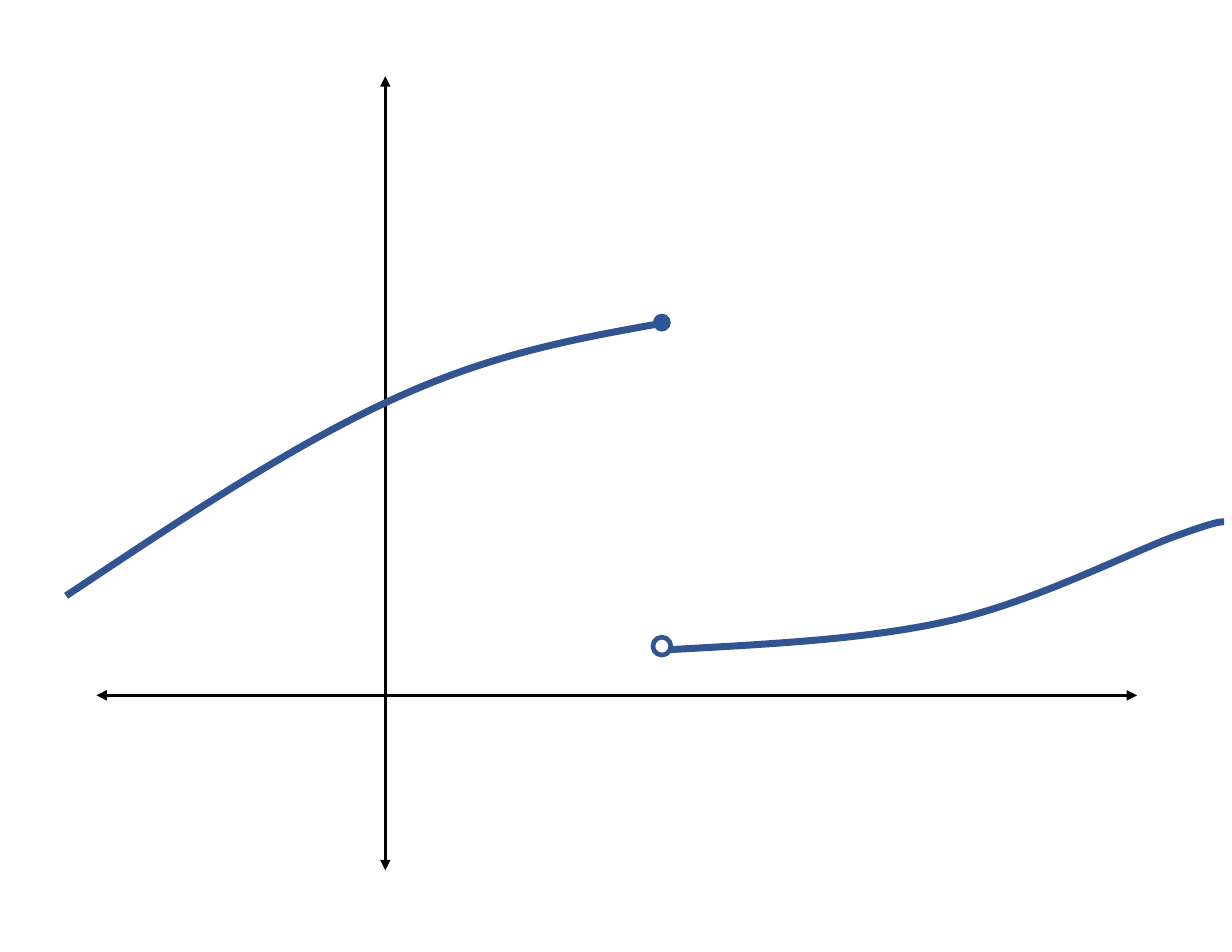
from pptx import Presentation
from pptx.dml.color import RGBColor
from pptx.enum.shapes import MSO_CONNECTOR, MSO_SHAPE
from pptx.oxml.ns import qn
from pptx.util import Pt
from lxml.etree import SubElement

COLORS = {"axis": "000000", "curve": "325491", "dot": "2F5597"}

# Positions in points, relative to the plot box
LEFT = [(-19.5, 334), (53.9, 285.1), (126.6, 236.8), (191.4, 207.3),
        (255.5, 177.8), (310.2, 168.4), (365.7, 158.4)]
RIGHT = [(369.3, 368.6), (432.6, 365), (496, 362.1), (549.3, 349.9),
         (603.3, 337.6), (662.3, 307.4), (691.1, 296.6),
         (720.6, 285.8), (722.8, 286.5), (725, 286.5)]
JUMP, FULL, OPEN, SIZE = 363.5, 158.4, 366.4, 11.5


def style(line, color, width):
    line.color.rgb = RGBColor.from_string(COLORS[color])
    line.width = Pt(width)


def add_axis(shapes, *ends):
    axis = shapes.add_connector(MSO_CONNECTOR.STRAIGHT, *map(Pt, ends))
    style(axis.line, "axis", 2.25)
    props = axis.line._get_or_add_ln()
    for end in ("a:headEnd", "a:tailEnd"):
        SubElement(props, qn(end), type="triangle")
    SubElement(axis._element.spPr, qn("a:effectLst"))


def add_curve(shapes, x, y, points):
    spots = [(Pt(x + dx), Pt(y + dy)) for dx, dy in points]
    pen = shapes.build_freeform(*spots[0])
    pen.add_line_segments(spots[1:], close=False)
    curve = pen.convert_to_shape()
    curve.shadow.inherit = False
    curve.fill.background()
    style(curve.line, "curve", 4.5)
    # Every three points after the start form one Bezier segment
    steps = list(curve._element.iter(qn("a:lnTo")))
    trace = steps[0].getparent()
    for i in range(0, len(steps), 3):
        bend = SubElement(trace, qn("a:cubicBezTo"))
        for step in steps[i:i + 3]:
            bend.append(step[0])
            trace.remove(step)


def add_dot(shapes, x, y, solid):
    dot = shapes.add_shape(MSO_SHAPE.OVAL, Pt(x - SIZE / 2), Pt(y - SIZE / 2),
                           Pt(SIZE), Pt(SIZE))
    dot.shadow.inherit = False
    if solid:
        dot.fill.solid()
        dot.fill.fore_color.rgb = RGBColor.from_string(COLORS["dot"])
        dot.line.fill.background()
    else:
        dot.fill.background()
        style(dot.line, "curve", 3)


def draw_plot(shapes, x, y, width, height):
    # Axes
    add_axis(shapes, x, y + 398, x + width, y + 398)
    add_axis(shapes, x + 185.7, y, x + 185.7, y + height)
    # Two branches of the function
    for points in (LEFT, RIGHT):
        add_curve(shapes, x, y, points)
    # Closed and open ends at the jump
    for level, solid in ((FULL, True), (OPEN, False)):
        add_dot(shapes, x + JUMP, y + level, solid)


deck = Presentation()
for name, value in {"slide_width": 792, "slide_height": 612}.items():
    setattr(deck, name, Pt(value))
slide = deck.slides.add_slide(deck.slide_layouts[6])
draw_plot(slide.shapes, 62, 49, 669, 510.5)
deck.save("out.pptx")
